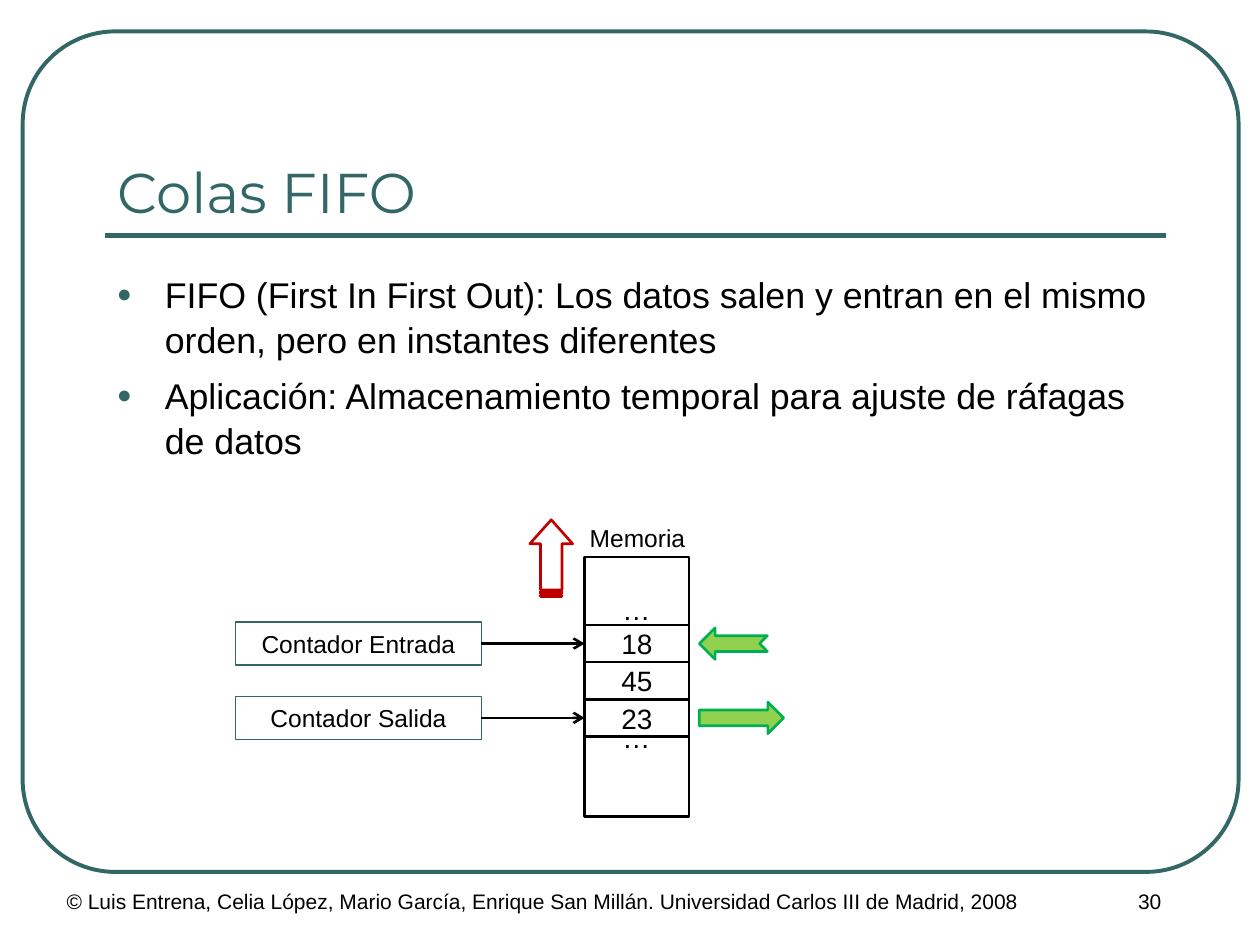
import lxml.etree
import pptx
import pptx.dml.color
import pptx.enum.shapes
import pptx.enum.text
import pptx.oxml.ns
import pptx.util

Inches = pptx.util.Inches
Shape = pptx.enum.shapes.MSO_SHAPE
Align = pptx.enum.text.PP_ALIGN
Anchor = pptx.enum.text.MSO_ANCHOR
RGBColor = pptx.dml.color.RGBColor
TEAL = RGBColor(0x33, 0x66, 0x66)
BLACK = RGBColor(0, 0, 0)
RED = RGBColor(0xC0, 0, 0)
GREEN = RGBColor(0, 0xB0, 0x50)
LIME = RGBColor(0x92, 0xD0, 0x50)


def add_xml(parent, tag, **attributes):
    """Append a DrawingML element to the parent."""
    name = pptx.oxml.ns.qn("a:" + tag)
    return lxml.etree.SubElement(parent, name, attributes)


def write(para, text, size, color=BLACK, name="Arial", **layout):
    """Put formatted text into a paragraph."""
    para.text = text
    for key, value in layout.items():
        setattr(para, key, value)
    formats = {"size": pptx.util.Pt(size), "name": name, "bold": False}
    for key, value in formats.items():
        setattr(para.font, key, value)
    para.font.color.rgb = color


def add_text(page, box, text, size, align=Align.CENTER, wrap=True):
    """Add a text box with one paragraph."""
    frame = page.shapes.add_textbox(*map(Inches, box)).text_frame
    frame.word_wrap = wrap
    write(frame.paragraphs[0], text, size, alignment=align)


def add_outline(page, kind, box, color, weight, fill=None, adjust=(), rotation=0):
    """Add an outlined preset shape without shadow."""
    shape = page.shapes.add_shape(kind, *map(Inches, box))
    shape.shadow.inherit = False
    shape.rotation = rotation
    for index, value in enumerate(adjust):
        shape.adjustments[index] = value
    if fill is None:
        shape.fill.background()
    else:
        shape.fill.solid()
        shape.fill.fore_color.rgb = fill
    shape.line.color.rgb = color
    shape.line.width = pptx.util.Pt(weight)
    return shape


def add_label_box(page, box, text, size, color, weight):
    """Add a rectangle with centred text."""
    shape = add_outline(page, Shape.RECTANGLE, box, color, weight)
    frame = shape.text_frame
    frame.vertical_anchor = Anchor.MIDDLE
    frame.margin_top = frame.margin_bottom = 0
    write(frame.paragraphs[0], text, size, alignment=Align.CENTER)


def add_line(page, start, end, color, weight, arrow=False):
    """Add a straight line, with an arrowhead at its end if asked."""
    kind = pptx.enum.shapes.MSO_CONNECTOR.STRAIGHT
    line = page.shapes.add_connector(kind, *map(Inches, start + end))
    line.line.color.rgb = color
    line.line.width = pptx.util.Pt(weight)
    if arrow:
        add_xml(line.line._get_or_add_ln(), "tailEnd", type="arrow")
    add_xml(line._element.spPr, "effectLst")


def add_heading(page, box, text):
    """Place the title and the rule below it."""
    left, top, width, height = box
    title = page.shapes.title
    title.left, title.top, title.width, title.height = map(Inches, box)
    title.text_frame.vertical_anchor = Anchor.BOTTOM
    write(title.text_frame.paragraphs[0], text, 32, TEAL, "Montserrat",
          alignment=Align.LEFT)
    rule = top + height + 0.04
    add_line(page, (left, rule), (left + width, rule), TEAL, 3)


def add_bullets(page, box, items):
    """Add the bulleted list."""
    frame = page.shapes.add_textbox(*map(Inches, box)).text_frame
    frame.word_wrap = True
    for index, item in enumerate(items):
        para = frame.add_paragraph() if index else frame.paragraphs[0]
        properties = para._p.get_or_add_pPr()
        properties.set("marL", str(Inches(0.38)))
        properties.set("indent", str(-Inches(0.38)))
        layout = {"line_spacing": 1.05}
        if index:
            layout["space_before"] = pptx.util.Pt(6)
        for key, value in layout.items():
            setattr(para, key, value)
        add_xml(add_xml(properties, "buClr"), "srgbClr", val=str(TEAL))
        add_xml(properties, "buSzPct", val="70000")
        add_xml(properties, "buFont", typeface="Arial")
        add_xml(properties, "buChar", char="●")
        write(para, item, 20.4)


def add_fifo_diagram(page, box):
    """Draw the memory column, its counters and the data arrows."""
    left, top, width, height = box
    column, column_width = left + 2.77, 0.83
    memory_top = top + 0.32
    memory_height = height - 0.32
    first_cell, cell_height = memory_top + 0.54, 0.295
    add_text(page, (column - 0.06, top, 0.96, 0.34), "Memoria", 14, wrap=False)
    add_outline(page, Shape.RECTANGLE,
                (column, memory_top, column_width, memory_height), BLACK, 1.5)
    for offset in (0.23, 1.25):
        add_text(page, (column + 0.18, memory_top + offset, 0.46, 0.37), "…", 16)
    for index, value in enumerate(("18", "45", "23")):
        cell = (column, first_cell + index * cell_height, column_width, cell_height)
        add_label_box(page, cell, value, 16, BLACK, 1.5)
    for row, name in ((0, "Contador Entrada"), (2, "Contador Salida")):
        middle = first_cell + (row + 0.5) * cell_height
        add_label_box(page, (left, middle - 0.17, 1.95, 0.34), name, 14, TEAL, 0.75)
        add_line(page, (left + 1.95, middle), (column, middle), BLACK, 1.5, True)
    arrows = ((0, Shape.NOTCHED_RIGHT_ARROW, 0.54, 180),
              (2, Shape.RIGHT_ARROW, 0.67, 0))
    for row, kind, length, rotation in arrows:
        middle = first_cell + (row + 0.5) * cell_height
        add_outline(page, kind, (left + width - length if row else column + 0.91,
                                 middle - 0.125, length, 0.25),
                    GREEN, 1.5, LIME, (0.5, 0.5), rotation)
    add_outline(page, Shape.STRIPED_RIGHT_ARROW,
                (column - 0.57, top + 0.16, 0.61, 0.34),
                RED, 1.5, adjust=(0.5, 0.56), rotation=270)


def add_footer(page, box, credit, number):
    """Add the copyright line and the page number."""
    left, top, width, height = box
    add_text(page, (left, top, 8.5, height), credit, 12, Align.LEFT)
    add_text(page, (left + width - 1.75, top, 1.75, height), number, 12)


def main():
    """Build the slide and save it."""
    deck = pptx.Presentation()
    deck.slide_width, deck.slide_height = Inches(10), Inches(7.5)
    page = deck.slides.add_slide(deck.slide_layouts.get_by_name("Title Only"))
    add_outline(page, Shape.ROUNDED_RECTANGLE, (0.18, 0.25, 9.65, 6.67),
                TEAL, 2.25, adjust=(0.11,))
    add_heading(page, (0.83, 0.58, 8.42, 1.25), "Colas FIFO")
    add_bullets(page, (0.83, 2.1, 8.42, 1.57), (
        "FIFO (First In First Out): Los datos salen y entran en el mismo orden, "
        "pero en instantes diferentes",
        "Aplicación: Almacenamiento temporal para ajuste de ráfagas de datos"))
    add_fifo_diagram(page, (1.87, 4.1, 4.35, 2.38))
    add_footer(page, (0.43, 7, 9.57, 0.5),
               "© Luis Entrena, Celia López, Mario García, Enrique San Millán. "
               "Universidad Carlos III de Madrid, 2008", "30")
    deck.save("out.pptx")


if __name__ == "__main__":
    main()
